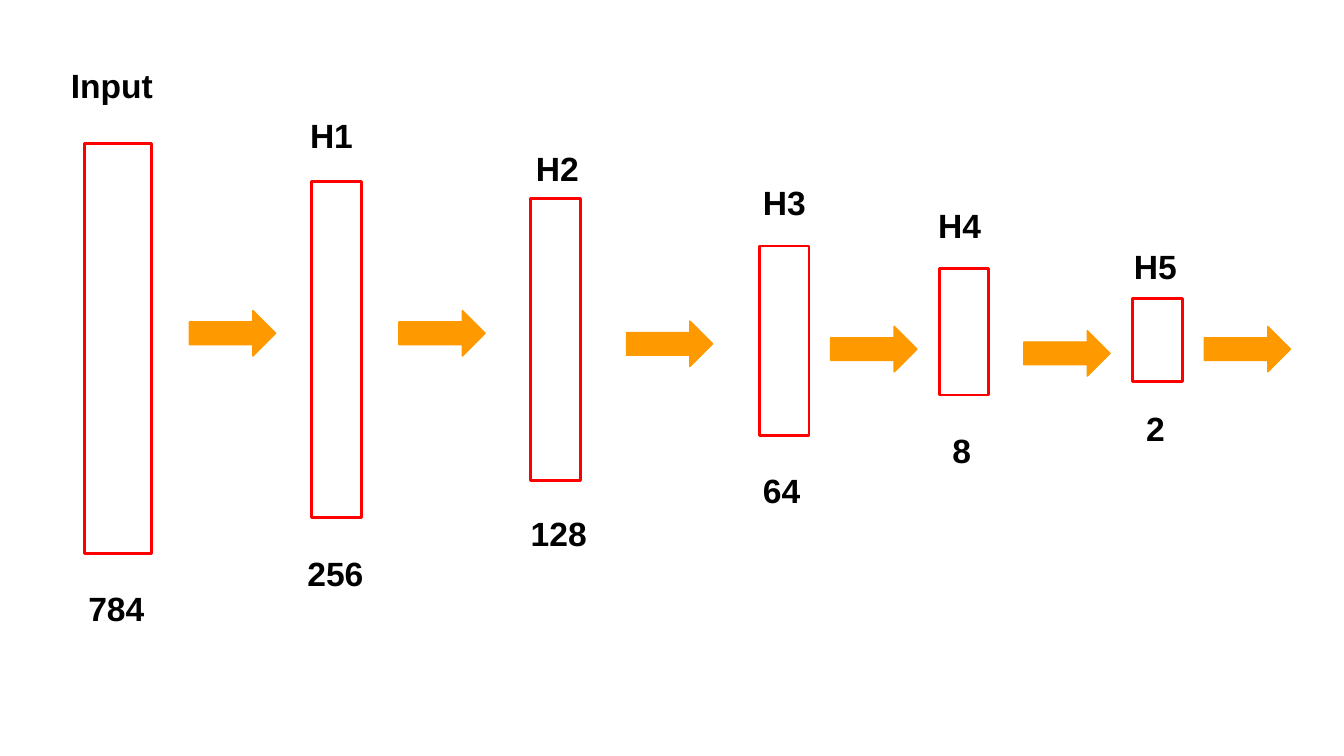
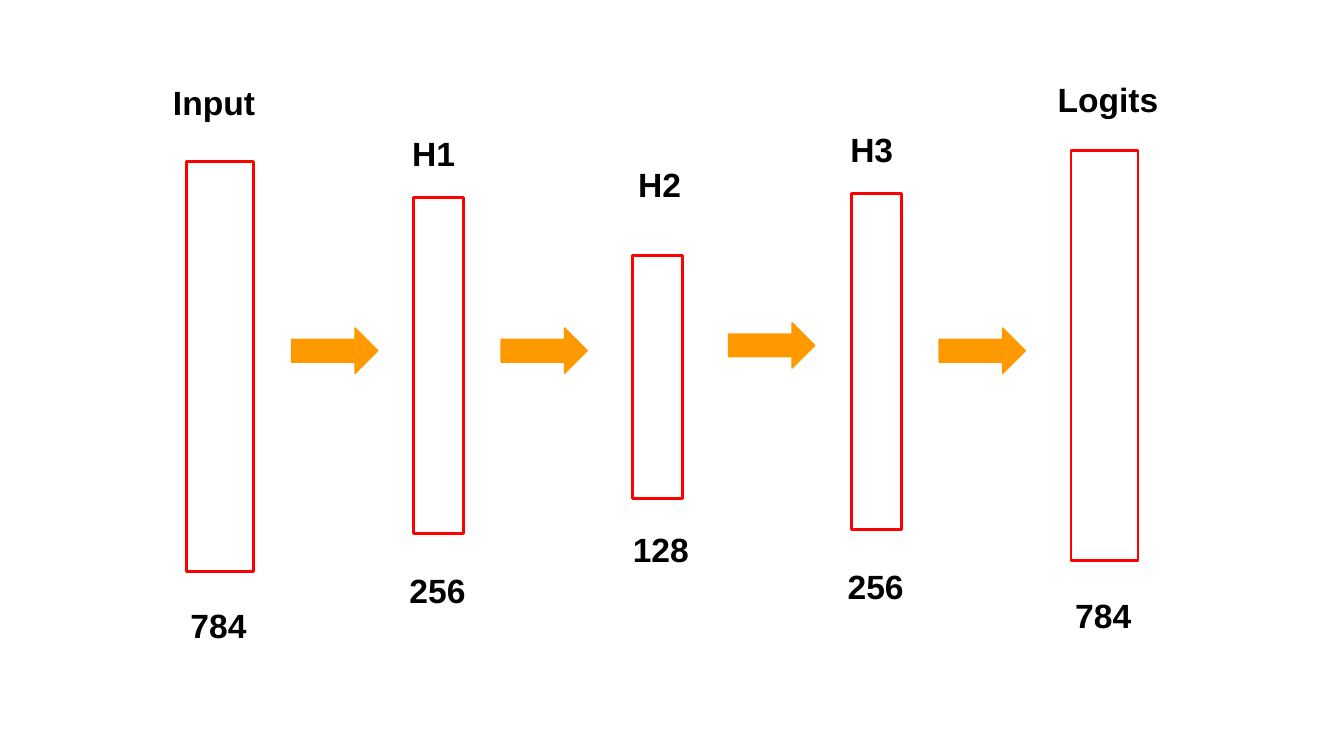
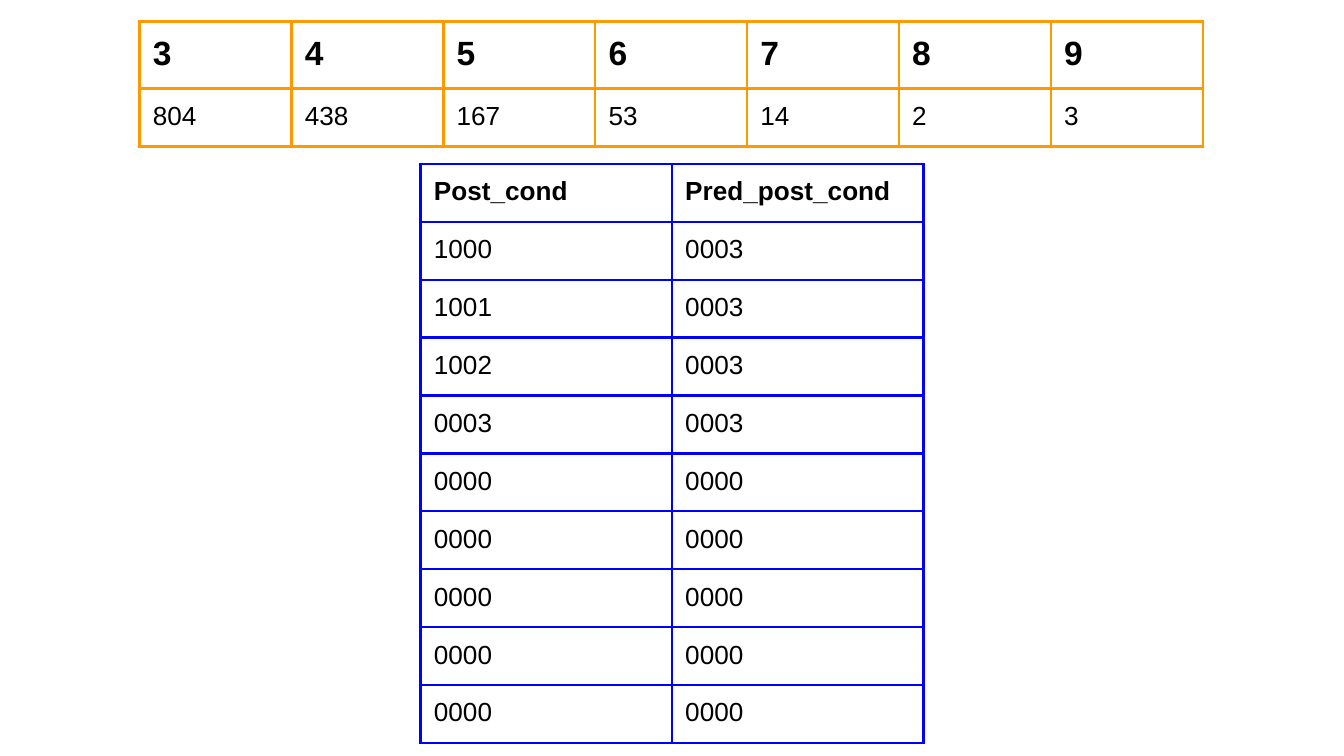
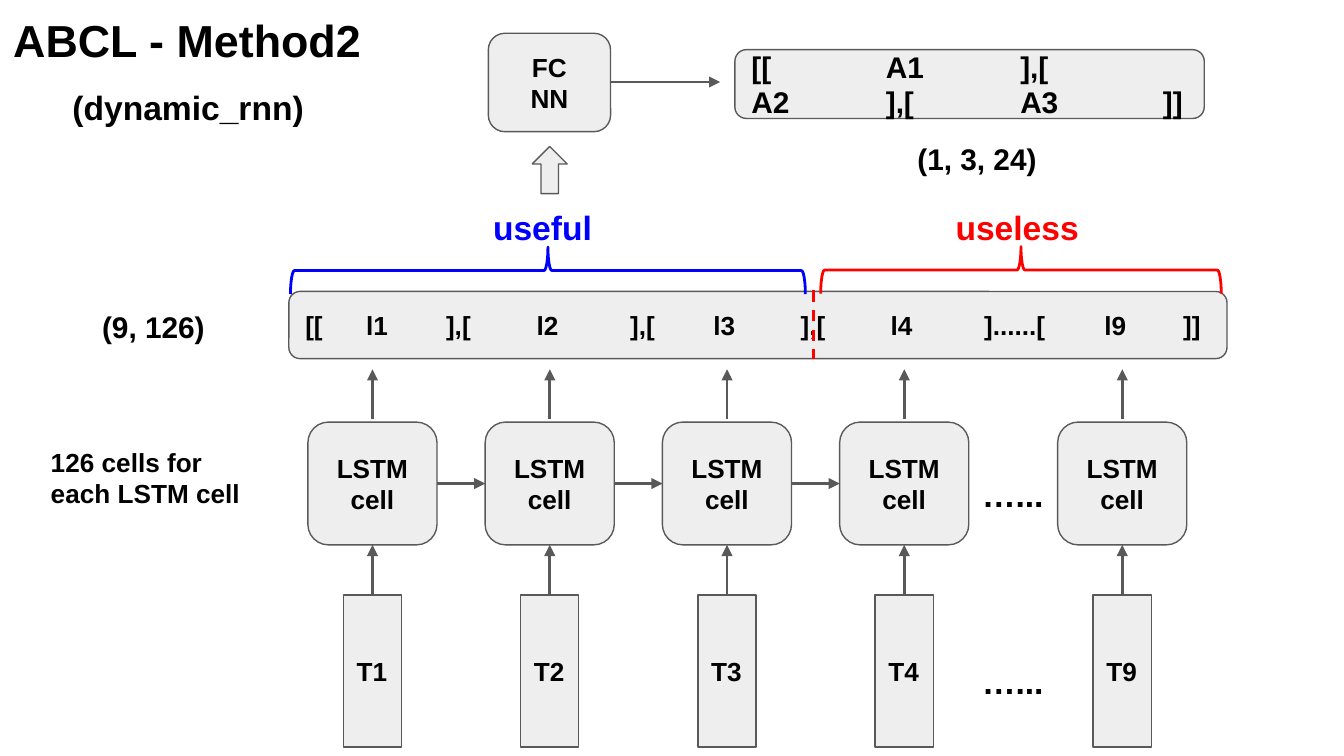
from lxml import etree
from pptx import Presentation
from pptx.dml.color import RGBColor
from pptx.enum import dml, shapes, text
from pptx.oxml import ns
from pptx.util import Cm, Pt

BLACK = RGBColor(0x00, 0x00, 0x00)
RED = RGBColor(0xFF, 0x00, 0x00)
BLUE = RGBColor(0x00, 0x00, 0xFF)
ORANGE = RGBColor(0xFF, 0x99, 0x00)
PALE = RGBColor(0xEE, 0xEE, 0xEE)
GREY = RGBColor(0x59, 0x59, 0x59)
FONT = "Arial"
INSET = Cm(0.25)
KIND = shapes.MSO_SHAPE
LEFT, CENTER = text.PP_ALIGN.LEFT, text.PP_ALIGN.CENTER

prs = Presentation()
prs.slide_width, prs.slide_height = Cm(25.4), Cm(14.29)
blank = prs.slide_layouts[6]


def put(s, kind, x, y, w, h, txt="", size=14, color=BLACK, align=LEFT,
        fill=None, line=GREY, weight=0.75, tabs=()):
    box = Cm(x), Cm(y), Cm(w), Cm(h)
    if kind is None:
        sp = s.shapes.add_textbox(*box)
    else:
        sp = s.shapes.add_shape(kind, *box)
        sp.shadow.inherit = False
        sp.line.color.rgb = line
        sp.line.width = Pt(weight)
        if fill is None:
            sp.fill.background()
        else:
            sp.fill.solid()
            sp.fill.fore_color.rgb = fill
    if not txt:
        return sp
    tf = sp.text_frame
    tf.word_wrap = True
    tf.margin_left = tf.margin_right = tf.margin_top = tf.margin_bottom = INSET
    tf.vertical_anchor = text.MSO_ANCHOR.TOP if kind is None else text.MSO_ANCHOR.MIDDLE
    tf.text = txt
    for p in tf.paragraphs:
        p.alignment = align
        if tabs:
            tab_list = etree.SubElement(p._p.get_or_add_pPr(), ns.qn("a:tabLst"))
            for pos in tabs:
                etree.SubElement(tab_list, ns.qn("a:tab"), pos=str(Cm(pos)), algn="l")
        for r in p.runs:
            r.font.name, r.font.size, r.font.bold = FONT, Pt(size), True
            r.font.color.rgb = color
    return sp


def connect(s, x1, y1, x2, y2, color=GREY, arrow=True):
    c = s.shapes.add_connector(shapes.MSO_CONNECTOR.STRAIGHT, Cm(x1), Cm(y1), Cm(x2), Cm(y2))
    c.line.color.rgb = color
    c.line.width = Pt(1.5)
    if arrow:
        etree.SubElement(c.line._get_or_add_ln(), ns.qn("a:tailEnd"), type="triangle")
    else:
        c.line.dash_style = dml.MSO_LINE.DASH
    etree.SubElement(c._element.spPr, ns.qn("a:effectLst"))


# Slides 1 and 2: layers, labels and arrows of two networks
networks = [
    (
        [(1.6, 2.72, 1.27, 7.75), (5.89, 3.43, 0.94, 6.35), (10.03, 3.76, 0.94, 5.33),
         (14.35, 4.65, 0.94, 3.58), (17.75, 5.08, 0.94, 2.39), (21.41, 5.64, 0.94, 1.57)],
        [("Input", 1.09, 0.97, 2.26, 1.22), ("784", 1.42, 10.87, 1.63, 1.07),
         ("H1", 5.61, 1.93, 1.5, 1.07), ("256", 5.56, 10.21, 1.63, 1.22),
         ("H2", 9.88, 2.54, 1.63, 1.22), ("128", 9.78, 9.45, 1.63, 1.22),
         ("H3", 14.17, 3.18, 1.5, 1.22), ("64", 14.17, 8.64, 1.27, 1.22),
         ("H4", 17.48, 3.63, 1.5, 1.22), ("8", 17.75, 7.87, 0.94, 1.22),
         ("H5", 21.18, 4.39, 1.5, 1.22), ("2", 21.41, 7.47, 0.94, 1.22)],
        [(3.58, 5.87), (7.54, 5.87), (11.84, 6.07), (15.7, 6.17), (19.35, 6.25), (22.76, 6.17)],
    ),
    (
        [(3.53, 3.05, 1.27, 7.75), (7.82, 3.73, 0.94, 6.35), (11.96, 4.83, 0.94, 4.6),
         (16.1, 3.66, 0.94, 6.35), (20.24, 2.84, 1.27, 7.75)],
        [("Input", 3.02, 1.3, 2.26, 1.22), ("784", 3.35, 11.18, 1.63, 1.07),
         ("H1", 7.54, 2.26, 1.5, 1.07), ("256", 7.49, 10.52, 1.63, 1.22),
         ("H2", 11.81, 2.84, 1.63, 1.22), ("128", 11.71, 9.75, 1.63, 1.22),
         ("H3", 15.82, 2.18, 1.5, 1.07), ("256", 15.77, 10.44, 1.63, 1.22),
         ("Logits", 19.74, 1.24, 2.62, 1.22), ("784", 20.07, 11, 1.63, 1.07)],
        [(5.51, 6.2), (9.47, 6.2), (13.77, 6.1), (17.75, 6.2)],
    ),
]
for layers, labels, arrows in networks:
    s = prs.slides.add_slide(blank)
    for layer in layers:
        put(s, KIND.RECTANGLE, *layer, line=RED, weight=1.5)
    for txt, *box in labels:
        put(s, None, *box, txt, 18)
    for x, y in arrows:
        put(s, KIND.RIGHT_ARROW, x, y, 1.63, 0.86, fill=ORANGE, line=ORANGE)

# Slide 3: two tables
s = prs.slides.add_slide(blank)
counts = [["3", "4", "5", "6", "7", "8", "9"],
          ["804", "438", "167", "53", "14", "2", "3"]]
conds = [["Post_cond", "Pred_post_cond"], ["1000", "0003"], ["1001", "0003"],
         ["1002", "0003"], ["0003", "0003"]] + [["0000", "0000"]] * 5
tables = [(counts, 2.64, 0.41, 2.87, 1.24, 1.07, 18, ORANGE),
          (conds, 7.95, 3.1, 4.75, 1.08, 1.08, 14, BLUE)]
for rows, x, y, col_w, head_h, row_h, head_size, color in tables:
    n = len(rows[0])
    height = head_h + row_h * (len(rows) - 1)
    tbl = s.shapes.add_table(len(rows), n, Cm(x), Cm(y), Cm(col_w * n), Cm(height)).table
    tbl.first_row = tbl.horz_banding = False
    for col in tbl.columns:
        col.width = Cm(col_w)
    for i, row in enumerate(rows):
        tbl.rows[i].height = Cm(row_h if i else head_h)
        for j, txt in enumerate(row):
            cell = tbl.cell(i, j)
            cell.margin_left = cell.margin_right = INSET
            cell.margin_top = cell.margin_bottom = INSET
            tc_pr = cell._tc.get_or_add_tcPr()
            for side in ("a:lnL", "a:lnR", "a:lnT", "a:lnB"):
                ln = etree.SubElement(tc_pr, ns.qn(side), w=str(Pt(1.5)))
                solid = etree.SubElement(ln, ns.qn("a:solidFill"))
                etree.SubElement(solid, ns.qn("a:srgbClr"), val=str(color))
            cell.fill.background()
            cell.text = txt
            r = cell.text_frame.paragraphs[0].runs[0]
            r.font.name, r.font.size, r.font.bold = FONT, Pt(14 if i else head_size), i == 0
            r.font.color.rgb = BLACK

# Slide 4: recurrent network
s = prs.slides.add_slide(blank)
put(s, None, 0, 0, 7.32, 1.6, "ABCL - Method2", 24)
put(s, None, 1.12, 1.4, 5.08, 1.27, "(dynamic_rnn)", 18)

centers = [7.04, 10.39, 13.74, 17.09, 21.21]
for cx, step in zip(centers, ("T1", "T2", "T3", "T4", "T9")):
    put(s, KIND.RECTANGLE, cx - 0.55, 11.25, 1.1, 2.87, step, fill=PALE)
    put(s, KIND.ROUNDED_RECTANGLE, cx - 1.22, 7.98, 2.44, 2.32, "LSTM\ncell", align=CENTER, fill=PALE)
    connect(s, cx, 11.25, cx, 10.3)
    connect(s, cx, 7.92, cx, 6.98)
for a, b in zip(centers[:3], centers[1:]):
    connect(s, a + 1.22, 9.14, b - 1.22, 9.14)
for y in (8.71, 12.24):
    put(s, None, 18.31, y, 1.96, 0.89, "…...", 18)
put(s, None, 0.71, 8.18, 4.19, 1.6, "126 cells for each LSTM cell")

put(s, KIND.ROUNDED_RECTANGLE, 5.46, 5.51, 17.73, 1.27,
    "[[\tl1\t],[\tl2\t],[\tl3\t],[\tl4\t]......[\tl9\t]]", fill=PALE,
    tabs=(1.15, 2.66, 4.37, 6.14, 7.71, 9.36, 11.06, 12.83, 15.1, 16.59))
connect(s, 15.37, 5.49, 15.37, 6.78, RED, arrow=False)
for x, y, h, color in ((9.91, 0.25, 9.73, BLUE), (18.85, 1.32, 7.57, RED)):
    sp = put(s, KIND.LEFT_BRACE, x, y, 0.89, h, line=color, weight=1.5)
    sp.rotation = 90
put(s, None, 9.07, 3.66, 2.59, 0.97, "useful", 18, BLUE)
put(s, None, 17.81, 3.66, 2.97, 0.97, "useless", 18, RED)

put(s, KIND.UP_ARROW, 10.06, 2.77, 0.66, 0.89, fill=PALE)
put(s, KIND.ROUNDED_RECTANGLE, 9.23, 0.63, 2.31, 1.86, "FC\nNN", align=CENTER, fill=PALE)
connect(s, 11.54, 1.55, 13.61, 1.55)
put(s, KIND.ROUNDED_RECTANGLE, 13.89, 0.94, 8.87, 1.3,
    "[[\tA1 \t],[\tA2 \t],[\tA3\t ]]", 16, fill=PALE, tabs=(2.54, 5.08, 7.62))
put(s, None, 1.68, 5.59, 2.59, 1.09, "(9, 126)", 16)
put(s, None, 17.09, 2.41, 2.97, 1.09, "(1, 3, 24)", 16)

prs.save("out.pptx")
